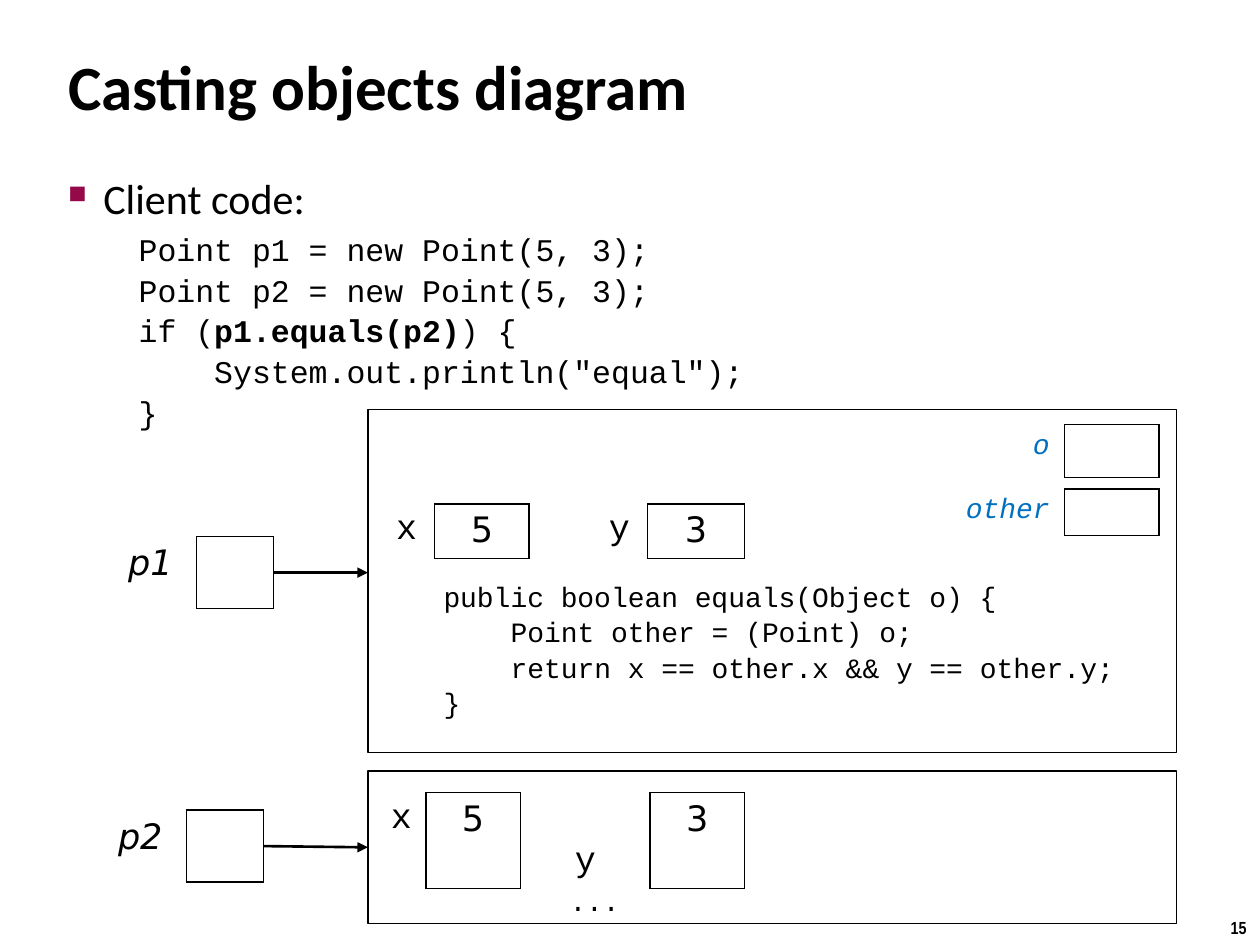
from dataclasses import dataclass
from itertools import accumulate

from lxml import etree
from pptx import Presentation
from pptx.dml.color import RGBColor
from pptx.enum import shapes, text
from pptx.oxml import ns
from pptx.util import Inches, Pt


@dataclass(frozen=True)
class Theme:
    ink: str = "000000"
    bullet: str = "950849"
    parameter: str = "0070C0"
    heading: str = "Calibri"
    code: str = "Courier New"
    value: str = "DejaVu Sans"
    number: str = "Arial Narrow"
    title_size: int = 36
    body_size: int = 24
    client_size: int = 18
    variable_size: int = 20
    code_size: int = 16
    number_size: int = 10


THEME = Theme()
ALIGN = text.PP_ALIGN
ANCHOR = text.MSO_ANCHOR


@dataclass(frozen=True)
class Cell:
    words: str
    width: float
    boxed: bool = False
    font: str = THEME.code
    size: int = THEME.variable_size
    color: str = THEME.ink
    italic: bool = False
    gap: float = 0.12
    anchor: ANCHOR = ANCHOR.TOP


@dataclass(frozen=True)
class Variables:
    left: float
    top: float
    height: float
    cells: tuple


@dataclass(frozen=True)
class Reference:
    name: str
    left: float
    top: float
    target: int


def label(words: str, width: float, **options) -> Cell:
    return Cell(words, width, **options)


def value(words: str, width: float, **options) -> Cell:
    return Cell(words, width, boxed=True, font=THEME.value, **options)


def parameter(name: str, left: float, top: float, width: float, height: float) -> Variables:
    return Variables(left, top, height, (
        label(name, width, size=THEME.code_size, color=THEME.parameter, italic=True),
        value("", 0.75, size=THEME.code_size)))


# Left, top, width and height of the two Point objects
OBJECTS = ((2.92, 3.25, 6.42, 2.72), (2.92, 6.12, 6.42, 1.21))
VARIABLES = (
    Variables(3.01, 4.0, 0.43, (label("x", 0.44, gap=0.14), value("5", 0.75),
                                label("y", 0.94, gap=0.14), value("3", 0.77))),
    Variables(3.01, 6.29, 0.76, (label("x", 0.37, gap=0.11), value("5", 0.75),
                                 label("y", 1.03, gap=0.43, anchor=ANCHOR.BOTTOM),
                                 value("3", 0.75))),
    parameter("o", 8.08, 3.37, 0.37, 0.42),
    parameter("other", 7.42, 3.88, 1.03, 0.37),
)
REFERENCES = (Reference("p1", 0.6, 4.26, 0), Reference("p2", 0.52, 6.43, 1))
REFERENCE_WIDTHS = (0.96, 0.61)
REFERENCE_HEIGHT = 0.57

# Each line: its indent in characters, then its runs as (words, bold)
CLIENT_CODE = (
    (0, (("Point p1 = new Point(5, 3);", False),)),
    (0, (("Point p2 = new Point(5, 3);", False),)),
    (0, (("if (", False), ("p1.equals(p2)", True), (") {", False))),
    (4, (('System.out.println("equal");', False),)),
    (0, (("}", False),)),
)
EQUALS_CODE = (
    (0, "public boolean equals(Object o) {"),
    (4, "Point other = (Point) o;"),
    (4, "return x == other.x && y == other.y;"),
    (0, "}"),
)


def write(paragraph, words: str, *, font: str, size: int, color: str = THEME.ink,
          bold: bool = False, italic: bool = False) -> None:
    run = paragraph.add_run()
    run.text = words
    run.font.name, run.font.size = font, Pt(size)
    run.font.bold, run.font.italic = bold, italic
    run.font.color.rgb = RGBColor.from_string(color)


def indent(paragraph, left: float, first: float = 0) -> None:
    properties = paragraph._p.get_or_add_pPr()
    properties.set("marL", str(Inches(left)))
    properties.set("indent", str(Inches(first)))


def code_indent(characters: int, size: int) -> float:
    return characters * 0.6 * size / 72


def set_frame(frame, margins: tuple, anchor=ANCHOR.TOP, wrap: bool = True):
    frame.word_wrap = wrap
    frame.vertical_anchor = anchor
    frame.margin_left, frame.margin_top, frame.margin_right, frame.margin_bottom = map(Inches, margins)
    return frame


def add_text(slide, area: tuple, anchor=ANCHOR.TOP, margin: float = 0.04, wrap: bool = True):
    box = slide.shapes.add_textbox(*map(Inches, area))
    return set_frame(box.text_frame, (margin,) * 4, anchor, wrap)


def add_bullet(paragraph) -> None:
    properties = paragraph._p.get_or_add_pPr()
    color = etree.SubElement(properties, ns.qn("a:buClr"))
    etree.SubElement(color, ns.qn("a:srgbClr"), val=THEME.bullet)
    etree.SubElement(properties, ns.qn("a:buSzPct"), val="60000")
    etree.SubElement(properties, ns.qn("a:buChar"), char="■")


def add_object(slide, area: tuple):
    box = slide.shapes.add_shape(shapes.MSO_SHAPE.RECTANGLE, *map(Inches, area))
    box.shadow.inherit = False
    box.fill.background()
    box.line.color.rgb = RGBColor.from_string(THEME.ink)
    box.line.width = Pt(0.75)
    return box


def add_borders(cell, sides: dict) -> None:
    properties = cell._tc.get_or_add_tcPr()
    for position, side in enumerate("LRTB"):
        line = etree.Element(ns.qn(f"a:ln{side}"), w=str(Pt(1)))
        if sides[side]:
            fill = etree.SubElement(line, ns.qn("a:solidFill"))
            etree.SubElement(fill, ns.qn("a:srgbClr"), val=THEME.ink)
        else:
            etree.SubElement(line, ns.qn("a:noFill"))
        properties.insert(position, line)


def add_variables(slide, row: Variables) -> None:
    width = sum(cell.width for cell in row.cells)
    table = slide.shapes.add_table(1, len(row.cells), *map(
        Inches, (row.left, row.top, width, row.height))).table
    table.first_row = table.horz_banding = False
    # The built-in style without fill or grid
    table._tbl.tblPr.find(ns.qn("a:tableStyleId")).text = "{2D5ABB26-0587-4C30-8999-92F81FD0307C}"
    boxed = [False, *(item.boxed for item in row.cells), False]
    for column, item in enumerate(row.cells):
        table.columns[column].width = Inches(item.width)
        cell = table.cell(0, column)
        cell.fill.background()
        cell.vertical_anchor = item.anchor
        cell.margin_top = cell.margin_bottom = Inches(0.05)
        cell.margin_left = Inches(0.05)
        cell.margin_right = Inches(0.05 if item.boxed else item.gap)
        paragraph = cell.text_frame.paragraphs[0]
        paragraph.alignment = ALIGN.CENTER if item.boxed else ALIGN.RIGHT
        if item.words:
            write(paragraph, item.words, font=item.font, size=item.size,
                  color=item.color, italic=item.italic)
        else:
            paragraph._p.get_or_add_endParaRPr().set("sz", str(item.size * 100))
        before, own, after = boxed[column:column + 3]
        add_borders(cell, {"L": own or before, "R": own or after, "T": own, "B": own})


def add_arrow(slide, start: float, y: float, target) -> None:
    arrow = slide.shapes.add_connector(
        shapes.MSO_CONNECTOR.STRAIGHT, Inches(start), Inches(y), target.left, Inches(y))
    if abs(target.top + target.height // 2 - Inches(y)) < Inches(0.02):
        arrow.end_connect(target, 1)
    arrow.line.color.rgb = RGBColor.from_string(THEME.ink)
    arrow.line.width = Pt(1.5)
    etree.SubElement(arrow.line._get_or_add_ln(), ns.qn("a:tailEnd"), type="triangle")
    etree.SubElement(arrow._element.spPr, ns.qn("a:effectLst"))


def main() -> None:
    presentation = Presentation()
    presentation.slide_width, presentation.slide_height = Inches(10), Inches(7.5)
    slide = presentation.slides.add_slide(presentation.slide_layouts[6])

    # Title and slide number
    title = add_text(slide, (0.5, 0.08, 9.08, 1.19), ANCHOR.MIDDLE)
    write(title.paragraphs[0], "Casting objects diagram", font=THEME.heading,
          size=THEME.title_size, bold=True)
    number = add_text(slide, (9.66, 7.23, 0.34, 0.27), margin=0.05, wrap=False).paragraphs[0]
    number.alignment = ALIGN.CENTER
    write(number, "15", font=THEME.number, size=THEME.number_size, bold=True)

    # Client code
    body = add_text(slide, (0.5, 1.33, 9.08, 5.94))
    heading = body.paragraphs[0]
    indent(heading, 0.28, -0.28)
    heading.space_before, heading.space_after = Pt(6), Pt(2)
    add_bullet(heading)
    write(heading, "Client code:", font=THEME.heading, size=THEME.body_size)
    for characters, runs in CLIENT_CODE:
        paragraph = body.add_paragraph()
        indent(paragraph, 0.56 + code_indent(characters, THEME.client_size))
        paragraph.line_spacing, paragraph.space_before = 0.8, Pt(6)
        for words, bold in runs:
            write(paragraph, words, font=THEME.code, size=THEME.client_size, bold=bold)

    # Point objects with their code
    first, second = (add_object(slide, area) for area in OBJECTS)
    frame = set_frame(first.text_frame, (0.6, 0.05, 0.1, 0.26), ANCHOR.BOTTOM)
    for position, (characters, words) in enumerate(EQUALS_CODE):
        paragraph = frame.add_paragraph() if position else frame.paragraphs[0]
        paragraph.alignment, paragraph.space_before = ALIGN.LEFT, Pt(1.1)
        indent(paragraph, code_indent(characters, THEME.code_size))
        write(paragraph, words, font=THEME.code, size=THEME.code_size)
    frame = set_frame(second.text_frame, (1.6, 0.05, 0.1, 0.05), ANCHOR.BOTTOM)
    frame.paragraphs[0].alignment = ALIGN.LEFT
    write(frame.paragraphs[0], "...", font=THEME.code, size=THEME.code_size)

    # Fields and parameters
    for row in VARIABLES:
        add_variables(slide, row)

    # References and their arrows
    name_width, box_width = REFERENCE_WIDTHS
    for reference in REFERENCES:
        add_variables(slide, Variables(reference.left, reference.top, REFERENCE_HEIGHT, (
            label(reference.name, name_width, font=THEME.value, italic=True, gap=0.19),
            value("", box_width))))
        *_, right = accumulate(REFERENCE_WIDTHS, initial=reference.left)
        add_arrow(slide, right, reference.top + REFERENCE_HEIGHT / 2,
                  (first, second)[reference.target])

    presentation.save("out.pptx")


if __name__ == "__main__":
    main()
